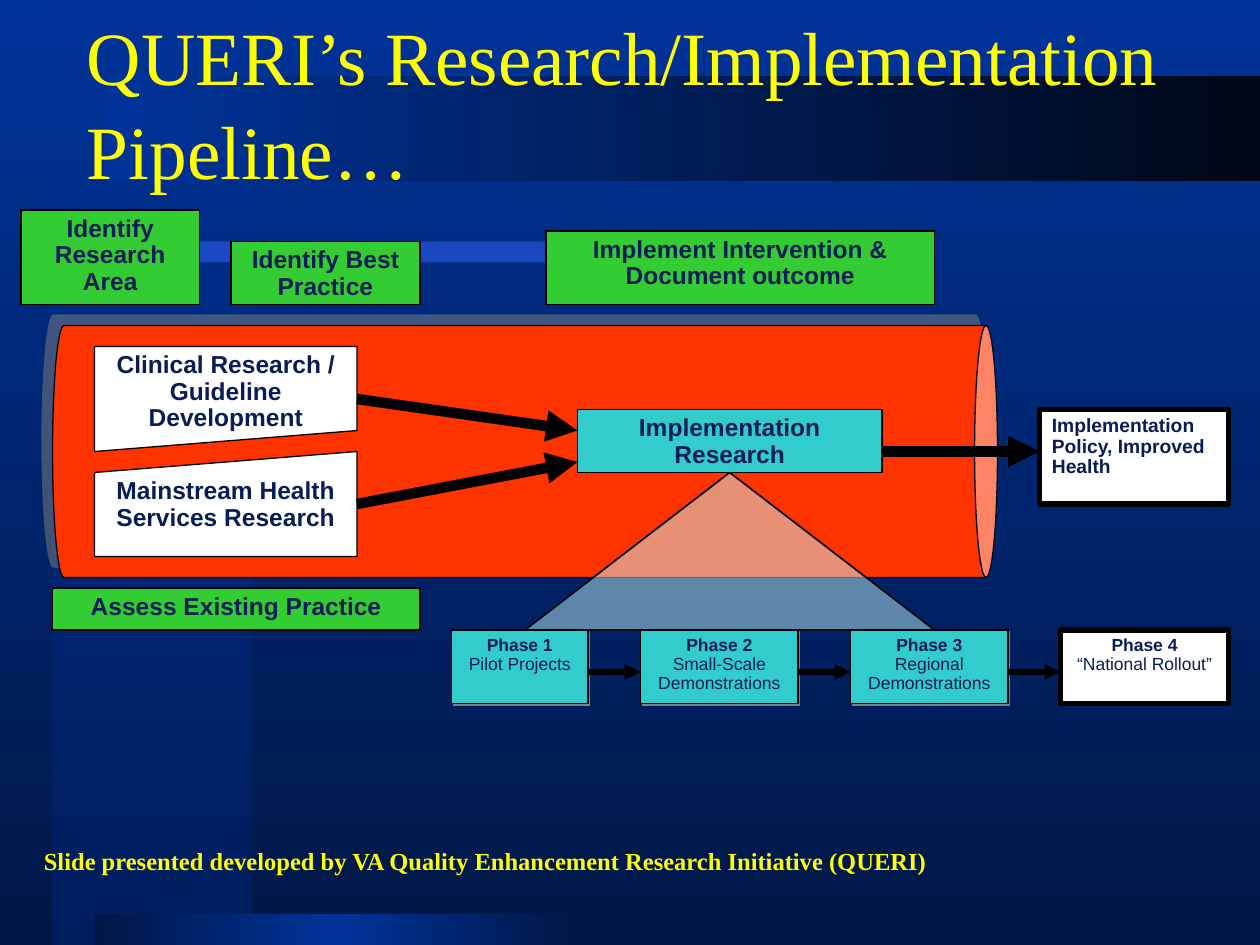
from dataclasses import dataclass
from itertools import pairwise
from typing import Optional

from lxml.etree import SubElement
from pptx import Presentation
from pptx.dml.color import RGBColor
from pptx.enum.shapes import MSO_CONNECTOR, MSO_SHAPE
from pptx.enum.text import MSO_ANCHOR, MSO_AUTO_SIZE, PP_ALIGN
from pptx.oxml import parse_xml
from pptx.oxml.ns import nsdecls, qn
from pptx.util import Pt

COLORS = {
    "royal": "003399", "navy": "001746", "rail": "001F5E", "night": "000717",
    "sky": "3366FF", "yellow": "FFFF00", "orange": "FF3300", "teal": "33CCCC",
    "green": "33CC33", "white": "FFFFFF", "black": "000000", "ink": "081D58",
    "edge": "020715", "gray": "808080", "ice": "CCFFFF",
}


@dataclass(frozen=True)
class Shadow:
    opacity: int
    distance: float
    angle: int


@dataclass(frozen=True)
class Block:
    left: float
    top: float
    width: float
    height: float
    fill: str
    lines: tuple = ()
    size: float = 14
    align: PP_ALIGN = PP_ALIGN.CENTER
    kind: MSO_SHAPE = MSO_SHAPE.RECTANGLE
    rotation: int = 0
    line: Optional[str] = "black"
    weight: float = 0.75
    opacity: int = 100
    shadow: Optional[Shadow] = None


@dataclass(frozen=True)
class Band:
    left: float
    top: float
    width: float
    height: float
    stops: tuple
    angle: int


def rgb(name: str) -> RGBColor:
    return RGBColor.from_string(COLORS[name])


def write(frame, *lines, size=14, font="Arial", color="ink", bold=(True, False),
          align=PP_ALIGN.LEFT, spacing=None, anchor=MSO_ANCHOR.TOP,
          margins=(7.2, 3.6), wrap=True) -> None:
    frame.word_wrap = wrap
    frame.auto_size = MSO_AUTO_SIZE.NONE
    frame.vertical_anchor = anchor
    frame.margin_left = frame.margin_right = Pt(margins[0])
    frame.margin_top = frame.margin_bottom = Pt(margins[1])
    for index, line in enumerate(lines):
        paragraph = frame.add_paragraph() if index else frame.paragraphs[0]
        paragraph.text = line
        paragraph.alignment = align
        paragraph.line_spacing = spacing
        for run in paragraph.runs:
            run.font.size = Pt(size)
            run.font.name = font
            run.font.bold = bold[min(index, len(bold) - 1)]
            run.font.color.rgb = rgb(color)


def paint_gradient(fill, element, stops: tuple, angle: int) -> None:
    fill.solid()
    solid = next(element.iter(qn("a:solidFill")))
    marks = "".join(
        f'<a:gs pos="{position * 1000}"><a:srgbClr val="{COLORS[name]}">'
        f'<a:alpha val="{opacity * 1000}"/></a:srgbClr></a:gs>'
        for position, name, opacity in stops)
    gradient = parse_xml(
        f'<a:gradFill {nsdecls("a")} rotWithShape="1"><a:gsLst>{marks}</a:gsLst>'
        f'<a:lin ang="{angle * 60000}" scaled="0"/></a:gradFill>')
    solid.getparent().replace(solid, gradient)


def draw_band(slide, band: Band):
    shape = slide.shapes.add_shape(
        MSO_SHAPE.RECTANGLE, Pt(band.left), Pt(band.top), Pt(band.width), Pt(band.height))
    shape.shadow.inherit = False
    paint_gradient(shape.fill, shape.element, band.stops, band.angle)
    shape.line.fill.background()
    return shape


def draw_block(slide, block: Block):
    shape = slide.shapes.add_shape(
        block.kind, Pt(block.left), Pt(block.top), Pt(block.width), Pt(block.height))
    shape.rotation = block.rotation
    shape.fill.solid()
    shape.fill.fore_color.rgb = rgb(block.fill)
    if block.opacity < 100:
        tint = next(shape.element.iter(qn("a:srgbClr")))
        SubElement(tint, qn("a:alpha"), val=str(block.opacity * 1000))
    if block.line:
        shape.line.color.rgb = rgb(block.line)
        shape.line.width = Pt(block.weight)
    else:
        shape.line.fill.background()
    shape.shadow.inherit = False
    if block.shadow:
        effects = next(shape.element.iter(qn("a:effectLst")))
        outer = SubElement(effects, qn("a:outerShdw"), blurRad="0",
                           dist=str(int(Pt(block.shadow.distance))),
                           dir=str(block.shadow.angle * 60000), rotWithShape="0")
        shade = SubElement(outer, qn("a:srgbClr"), val=COLORS["gray"])
        SubElement(shade, qn("a:alpha"), val=str(block.shadow.opacity * 1000))
    if block.lines:
        write(shape.text_frame, *block.lines, size=block.size, align=block.align, spacing=0.9)
        if block.rotation:
            body = next(shape.element.iter(qn("a:bodyPr")))
            body.set("rot", str(block.rotation * 60000))
    return shape


def draw_arrow(slide, start: tuple, end: tuple, weight: float):
    arrow = slide.shapes.add_connector(
        MSO_CONNECTOR.STRAIGHT, *(Pt(value) for value in (*start, *end)))
    arrow.line.color.rgb = rgb("black")
    arrow.line.width = Pt(weight)
    SubElement(next(arrow.element.iter(qn("a:ln"))), qn("a:tailEnd"), type="triangle")
    SubElement(arrow.element.find(qn("p:spPr")), qn("a:effectLst"))
    return arrow


BANDS = (
    Band(30, 0, 114, 540, ((0, "royal", 50), (100, "rail", 100)), 90),
    Band(12, 138, 372, 12, ((0, "sky", 50), (100, "sky", 50)), 0),
    Band(54, 522, 276, 18, ((0, "navy", 100), (50, "royal", 100), (100, "navy", 100)), 180),
    Band(60, 43.2, 660, 60, ((0, "night", 100), (100, "royal", 100)), 180),
)
PIPE = Block(228, -12, 144, 540, "orange", kind=MSO_SHAPE.CAN, rotation=90,
             line="edge", shadow=Shadow(50, 8.5, 225))
RESEARCH = Block(330, 234, 174, 36, "teal", ("Implementation Research",))
CLINICAL = Block(54, 198, 150, 60, "white", ("Clinical Research / Guideline Development",),
                 kind=MSO_SHAPE.FLOWCHART_MANUAL_INPUT, rotation=180)
MAINSTREAM = Block(54, 258, 150, 60, "white", ("Mainstream Health Services Research",),
                   kind=MSO_SHAPE.FLOWCHART_MANUAL_INPUT)
STEPS = (
    Block(312, 132, 222, 42, "green", ("Implement Intervention & Document outcome",)),
    Block(30, 336, 210, 24, "green", ("Assess Existing Practice",)),
    Block(12, 120, 102, 54, "green", ("Identify Research Area",)),
    Block(132, 138, 108, 36, "green", ("Identify Best Practice",)),
)
POLICY = Block(594, 234, 108, 54, "white", ("Implementation Policy, Improved Health",),
               size=11, align=PP_ALIGN.LEFT, weight=3)
PHASE_TOP, PHASE_HEIGHT, PHASE_FLOW = 360, 42, 384
PHASE_SHADOW = Shadow(100, 1.4, 45)
PHASES = tuple(
    Block(left, PHASE_TOP, width, PHASE_HEIGHT, fill, (f"Phase {number}", label),
          size=10, weight=weight, shadow=shadow)
    for number, (left, width, label, fill, weight, shadow) in enumerate((
        (258, 78, "Pilot Projects", "teal", 0.75, PHASE_SHADOW),
        (366, 90, "Small-Scale Demonstrations", "teal", 0.75, PHASE_SHADOW),
        (486, 90, "Regional Demonstrations", "teal", 0.75, PHASE_SHADOW),
        (606, 96, "“National Rollout”", "white", 3, None)), 1))
FUNNEL = Block(300, 270, 234, 90, "ice", kind=MSO_SHAPE.ISOSCELES_TRIANGLE,
               line="edge", weight=1, opacity=46)


def main() -> None:
    deck = Presentation()
    deck.slide_width, deck.slide_height = Pt(720), Pt(540)
    slide = deck.slides.add_slide(deck.slide_layouts[5])
    paint_gradient(slide.background.fill, slide.element,
                   ((0, "royal", 100), (100, "navy", 100)), 90)

    heading = slide.shapes.title
    heading.left, heading.top, heading.width, heading.height = (
        Pt(value) for value in (46, 6, 622, 106.5))
    write(heading.text_frame, "QUERI’s Research/Implementation\vPipeline…", size=43,
          font="Times New Roman", color="yellow", bold=(False,), spacing=1.04,
          anchor=MSO_ANCHOR.BOTTOM, margins=(3.6, 1.44), wrap=False)
    for band in BANDS:
        heading.element.addprevious(draw_band(slide, band).element)

    pipe = draw_block(slide, PIPE)
    pipe.adjustments[0] = 0.091
    draw_block(slide, RESEARCH)
    draw_block(slide, CLINICAL)
    mainstream = draw_block(slide, MAINSTREAM)
    draw_arrow(slide, (504, 258), (594, 258), 6)
    draw_arrow(slide, (204, 288), (330, 264), 6).begin_connect(mainstream, 3)
    draw_arrow(slide, (204, 228), (330, 246), 6)
    for block in (*STEPS, POLICY, *PHASES, FUNNEL):
        draw_block(slide, block)
    for current, following in pairwise(PHASES):
        draw_arrow(slide, (current.left + current.width, PHASE_FLOW),
                   (following.left, PHASE_FLOW), 3)

    credit = slide.shapes.add_textbox(Pt(18), Pt(480), Pt(534), Pt(24.5))
    write(credit.text_frame,
          "Slide presented developed by VA Quality Enhancement Research Initiative (QUERI)",
          font="Times New Roman", color="yellow")
    deck.save("out.pptx")


if __name__ == "__main__":
    main()
